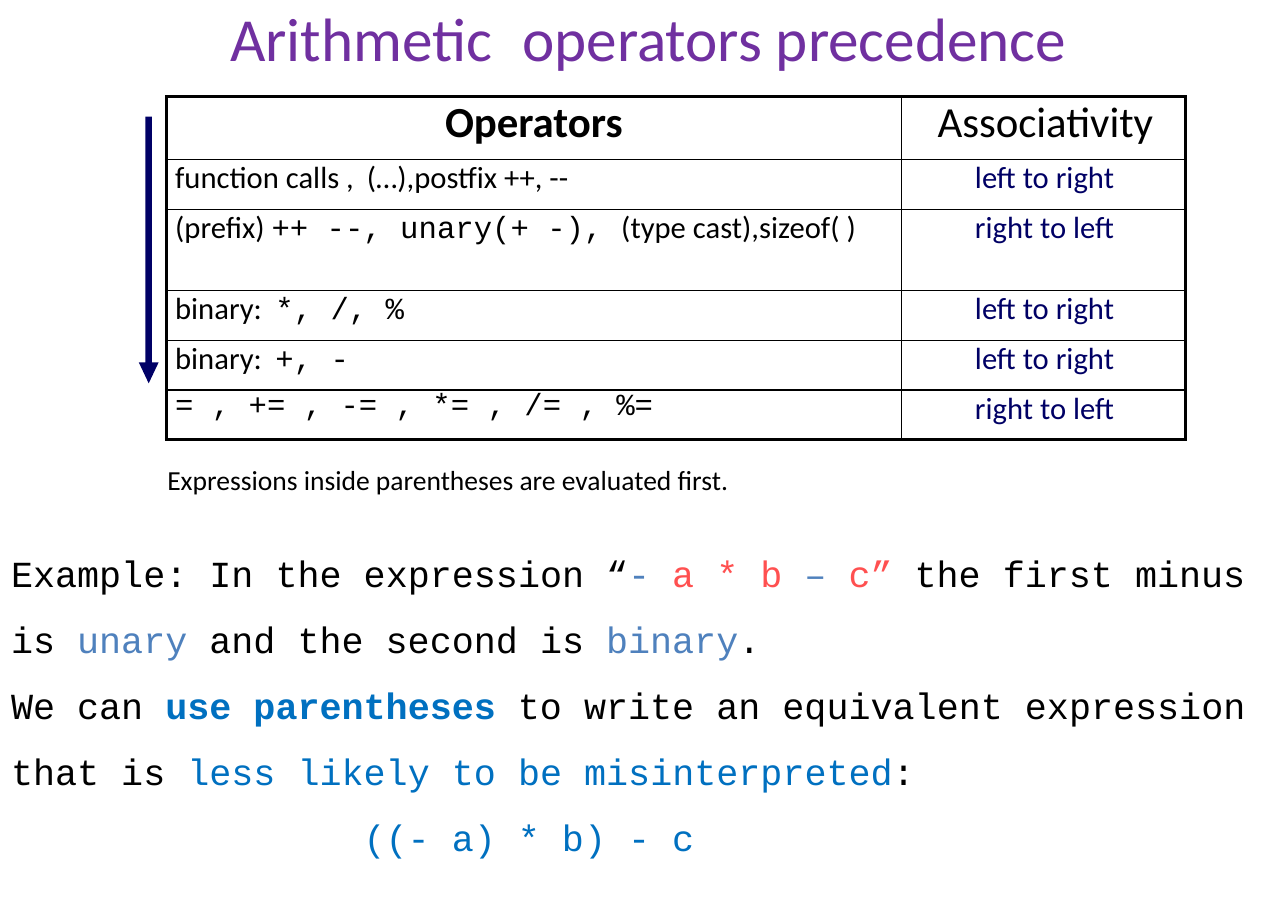
"""Build a slide on the precedence of arithmetic operators."""
from dataclasses import dataclass

from lxml import etree
from pptx import Presentation
from pptx.dml.color import RGBColor
from pptx.enum.text import MSO_ANCHOR, MSO_AUTO_SIZE, PP_ALIGN
from pptx.oxml.ns import qn
from pptx.util import Inches, Pt

TOP = MSO_ANCHOR.TOP
NO_AUTOFIT = MSO_AUTO_SIZE.NONE
LEFT, CENTER = PP_ALIGN.LEFT, PP_ALIGN.CENTER
TITLE_ONLY = 5


@dataclass(frozen=True)
class Theme:
    """Fonts, colours, type sizes and line widths of the slide."""
    sans: str = "Calibri"
    mono: str = "Courier New"
    black: str = "000000"
    white: str = "FFFFFF"
    purple: str = "7030A0"
    navy: str = "000065"
    arrow: str = "000066"
    steel: str = "4F81BD"
    coral: str = "FF5050"
    blue: str = "0070C0"
    title: int = 40
    heading: int = 28
    example: int = 24
    cell: int = 20
    note: int = 18
    outer: float = 2.25
    inner: float = 1


THEME = Theme()
COLUMNS = (6.67, 2.58)
ROWS = (0.57, 0.45, 0.74, 0.45, 0.45, 0.45)
RIGHTWARD, LEFTWARD = "left to right", "right to left"
BINARY_TAB = 0.91
PRECEDENCE = (
    ([("function calls ,\t(…),postfix ++, --", {})], RIGHTWARD, 1.74),
    ([("(prefix) ", {}),
      ("++ --, unary(+ -), ", {"name": THEME.mono}),
      ("(type cast),sizeof( )", {})], LEFTWARD, None),
    ([("binary:\t", {}), ("*, /, %", {"name": THEME.mono})], RIGHTWARD, BINARY_TAB),
    ([("binary:\t", {}), ("+, -", {"name": THEME.mono})], RIGHTWARD, BINARY_TAB),
    ([("= , += , -= , *= , /= , %=", {"name": THEME.mono})], LEFTWARD, None),
)
STEEL, CORAL, BLUE = ({"color": c} for c in (THEME.steel, THEME.coral, THEME.blue))
EXAMPLE = (
    [("Example: In the expression “", {}), ("-", STEEL), (" a * b ", CORAL),
     ("–", STEEL), (" c”", CORAL), (" the first minus is ", {}),
     ("unary", STEEL), (" and the second is ", {}), ("binary", STEEL), (".", {})],
    [("We can ", {}), ("use parentheses ", {**BLUE, "bold": True}),
     ("to write an equivalent expression that is ", {}),
     ("less likely to be misinterpreted", BLUE), (":", {})],
    [("((- a) * b) - c", BLUE)],
)


def style(target, **values):
    """Set each named format value on the target."""
    for name, value in values.items():
        setattr(target, name, value)


def write(paragraph, runs, size, font=THEME.sans, color=THEME.black, **layout):
    """Fill a paragraph with runs, each a text and its own font values."""
    style(paragraph, **layout)
    for text, changes in runs:
        run = paragraph.add_run()
        run.text = text
        values = {"name": font, "bold": False, "color": color, **changes}
        run.font.color.rgb = RGBColor.from_string(values.pop("color"))
        style(run.font, size=Pt(size), **values)


def set_tab(paragraph, position):
    """Give a paragraph one left tab stop."""
    stops = etree.SubElement(paragraph._p.get_or_add_pPr(), qn("a:tabLst"))
    etree.SubElement(stops, qn("a:tab"), pos=str(Inches(position)), algn="l")


def set_frame(frame, margin_x=0, margin_y=0, wrap=True):
    """Set the margins and the wrapping of a text frame."""
    style(frame, margin_left=Inches(margin_x), margin_right=Inches(margin_x),
          margin_top=Inches(margin_y), margin_bottom=Inches(margin_y),
          word_wrap=wrap, auto_size=NO_AUTOFIT, vertical_anchor=TOP)


def set_borders(cell, widths):
    """Draw black cell borders of the given widths."""
    properties = cell._tc.get_or_add_tcPr()
    for side, width in widths.items():
        line = etree.SubElement(properties, qn(f"a:ln{side}"), w=str(Pt(width)))
        fill = etree.SubElement(line, qn("a:solidFill"))
        etree.SubElement(fill, qn("a:srgbClr"), val=THEME.black)


def add_title(slide):
    """Place and fill the title."""
    title = slide.shapes.title
    style(title, left=Inches(2.09), top=Inches(0), width=Inches(7.83), height=Inches(0.67))
    set_frame(title.text_frame)
    heading = title.text_frame.paragraphs[0]
    write(heading, [("Arithmetic\toperators precedence", {})],
          THEME.title, color=THEME.purple, alignment=LEFT)
    set_tab(heading, 2.65)


def add_arrow(slide):
    """Draw the arrow that points to lower precedence."""
    outline = ((1.32, 1.06), (1.38, 1.06), (1.38, 3.29), (1.44, 3.29),
               (1.35, 3.48), (1.26, 3.29), (1.32, 3.29))
    points = [(Inches(x), Inches(y)) for x, y in outline]
    builder = slide.shapes.build_freeform(*points[0], scale=1.0)
    builder.add_line_segments(points[1:], close=True)
    arrow = builder.convert_to_shape()
    arrow.shadow.inherit = False
    arrow.fill.solid()
    arrow.fill.fore_color.rgb = RGBColor.from_string(THEME.arrow)
    arrow.line.fill.background()


def add_cell(cell, runs, size, margin=0, tab=None, **format_values):
    """Fill one table cell."""
    style(cell, margin_left=Inches(margin), margin_right=0, margin_top=0,
          margin_bottom=0, vertical_anchor=TOP)
    cell.fill.solid()
    cell.fill.fore_color.rgb = RGBColor.from_string(THEME.white)
    paragraph = cell.text_frame.paragraphs[0]
    write(paragraph, runs, size, **format_values)
    if tab:
        set_tab(paragraph, tab)


def add_precedence_table(slide):
    """Add the table of operators and their associativity."""
    table = slide.shapes.add_table(
        len(ROWS), len(COLUMNS), Inches(1.51), Inches(0.88),
        Inches(sum(COLUMNS)), Inches(sum(ROWS))).table
    style(table, first_row=False, horz_banding=False)
    for column, width in zip(table.columns, COLUMNS):
        column.width = Inches(width)
    for r, height in enumerate(ROWS):
        table.rows[r].height = Inches(height)
        for c in range(len(COLUMNS)):
            edges = {"L": c == 0, "R": c == len(COLUMNS) - 1,
                     "T": r == 0, "B": r == len(ROWS) - 1}
            set_borders(table.cell(r, c), {
                side: THEME.outer if outside else THEME.inner
                for side, outside in edges.items()})
    add_cell(table.cell(0, 0), [("Operators", {"bold": True})],
             THEME.heading, alignment=CENTER)
    add_cell(table.cell(0, 1), [("Associativity", {})], THEME.heading, 0.33)
    for r, (operators, associativity, tab) in enumerate(PRECEDENCE, start=1):
        add_cell(table.cell(r, 0), operators, THEME.cell, 0.08, tab)
        add_cell(table.cell(r, 1), [(associativity, {})], THEME.cell, 0.67,
                 color=THEME.navy)


def add_text(slide, box, paragraphs, size, font, **frame_values):
    """Add a text box with one-and-a-half line spacing."""
    frame = slide.shapes.add_textbox(*map(Inches, box)).text_frame
    set_frame(frame, **frame_values)
    for i, runs in enumerate(paragraphs):
        paragraph = frame.add_paragraph() if i else frame.paragraphs[0]
        write(paragraph, runs, size, font, line_spacing=1.5, alignment=LEFT)
    return frame


def main():
    """Build and save the slide."""
    deck = Presentation()
    style(deck, slide_width=Inches(11.69), slide_height=Inches(8.27))
    slide = deck.slides.add_slide(deck.slide_layouts[TITLE_ONLY])
    add_title(slide)
    add_arrow(slide)
    add_precedence_table(slide)
    add_text(slide, (1.42, 4, 5.35, 0.56),
             [[("Expressions inside parentheses are evaluated first.", {})]],
             THEME.note, THEME.sans, margin_x=0.1, margin_y=0.05, wrap=False)
    example = add_text(slide, (0.1, 4.8, 11.59, 3.03), EXAMPLE, THEME.example, THEME.mono)
    example.paragraphs[-1]._p.get_or_add_pPr().set("marL", str(Inches(3.2)))
    deck.save("out.pptx")


if __name__ == "__main__":
    main()
